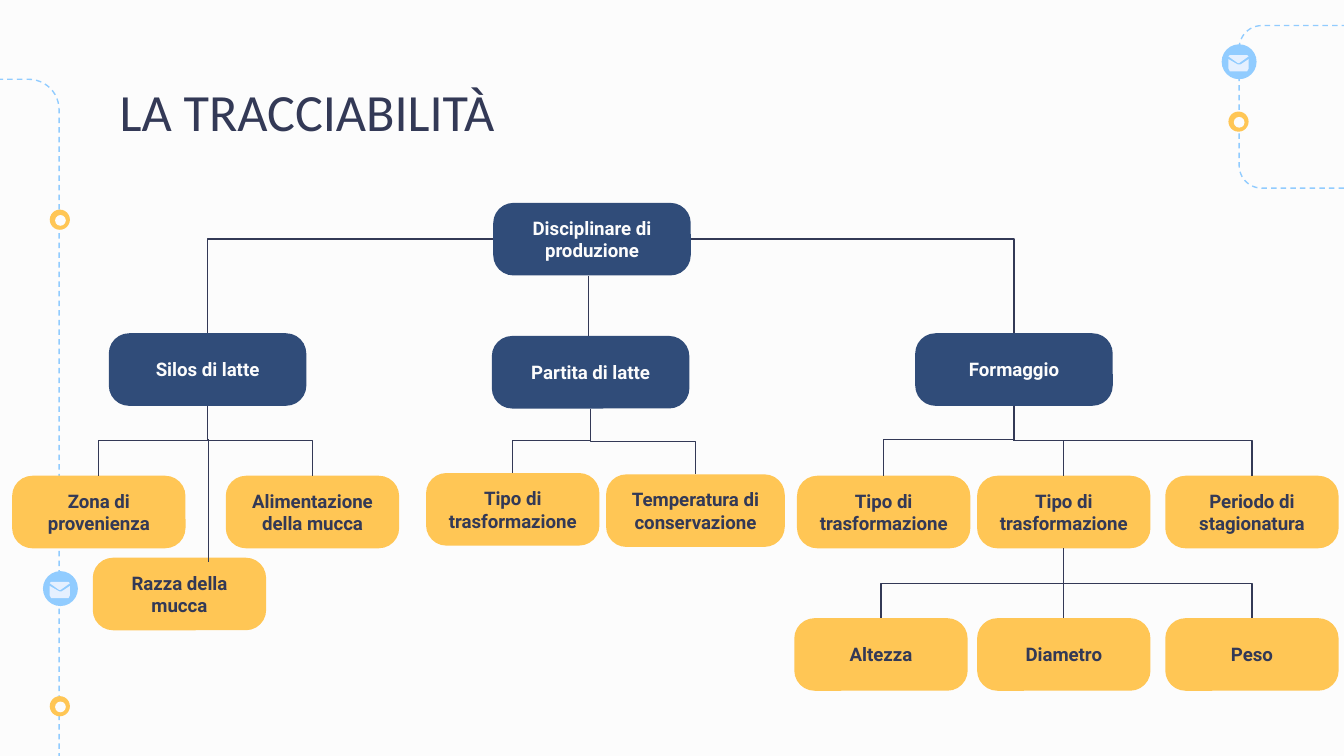
from pptx import Presentation
from pptx.dml.color import RGBColor
from pptx.enum.dml import MSO_LINE
from pptx.enum.shapes import MSO_CONNECTOR, MSO_SHAPE
from pptx.enum.text import MSO_ANCHOR, MSO_AUTO_SIZE, PP_ALIGN
from pptx.oxml.ns import qn
from pptx.util import Inches, Pt
from lxml import etree

ROUNDED = MSO_SHAPE.ROUNDED_RECTANGLE
OVAL = MSO_SHAPE.OVAL
STRAIGHT = MSO_CONNECTOR.STRAIGHT
ELBOW = MSO_CONNECTOR.ELBOW
DASH = MSO_LINE.DASH
LEFT, CENTER = PP_ALIGN.LEFT, PP_ALIGN.CENTER
TOP, MIDDLE = MSO_ANCHOR.TOP, MSO_ANCHOR.MIDDLE

PAPER = RGBColor(0xFC, 0xFC, 0xFC)
INK = RGBColor(0x33, 0x39, 0x56)
NAVY = RGBColor(0x30, 0x4C, 0x79)
AMBER = RGBColor(0xFF, 0xC6, 0x55)
SKY = RGBColor(0x91, 0xCC, 0xFF)
ICE = RGBColor(0xE5, 0xF0, 0xFF)

CARD_HEIGHT = 0.54
BRANCH_WIDTH, LEAF_WIDTH = 1.47, 1.29
LEAF_TOP, DETAIL_TOP = 3.54, 4.6
FLAP = [(0, 0.01), (0.01, 0), (0.14, 0), (0.15, 0.01), (0.08, 0.06), (0.07, 0.06)]
LETTER = [(0, 0.03), (0.07, 0.07), (0.09, 0.07), (0.15, 0.03),
          (0.15, 0.1), (0.14, 0.12), (0.01, 0.12), (0, 0.1)]


def write(box, text, size=10, font="Roboto", color=INK, bold=True, align=CENTER, anchor=MIDDLE):
    frame = box.text_frame
    frame.word_wrap = True
    frame.auto_size = MSO_AUTO_SIZE.NONE
    frame.vertical_anchor = anchor
    frame.margin_left = frame.margin_right = Inches(0.1)
    frame.margin_top = frame.margin_bottom = Inches(0.1)
    para = frame.paragraphs[0]
    para.alignment = align
    span = para.add_run()
    span.text = text
    span.font.size = Pt(size)
    span.font.name = font
    span.font.bold = bold
    span.font.color.rgb = color


def middle(box):
    return box.left + box.width // 2


def bottom(box):
    return box.top + box.height


class Board:
    def __init__(self, page):
        self.page = page
        self.shapes = page.shapes
        page.background.fill.solid()
        page.background.fill.fore_color.rgb = PAPER

    def title(self, text, left, top, width, height):
        box = self.shapes.title
        box.left, box.top = Inches(left), Inches(top)
        box.width, box.height = Inches(width), Inches(height)
        write(box, text, size=28, font="Calibri", bold=False, align=LEFT, anchor=TOP)

    def paint(self, shape, color):
        shape.shadow.inherit = False
        shape.fill.solid()
        shape.fill.fore_color.rgb = color
        shape.line.fill.background()
        return shape

    def dashed_frame(self, left, top, width, height, corner):
        shape = self.shapes.add_shape(ROUNDED, Inches(left), Inches(top), Inches(width), Inches(height))
        shape.shadow.inherit = False
        shape.adjustments[0] = corner
        shape.fill.background()
        shape.line.color.rgb = SKY
        shape.line.width = Pt(0.75)
        shape.line.dash_style = DASH

    def disc(self, left, top, size, color):
        self.paint(self.shapes.add_shape(OVAL, Inches(left), Inches(top), Inches(size), Inches(size)), color)

    def ring(self, left, top):
        self.disc(left, top, 0.15, AMBER)
        self.disc(left + 0.04, top + 0.04, 0.08, PAPER)

    def envelope(self, left, top):
        self.disc(left, top, 0.26, SKY)
        for outline in (FLAP, LETTER):
            points = [(Inches(left + 0.05 + x), Inches(top + 0.08 + y)) for x, y in outline]
            builder = self.shapes.build_freeform(*points[0])
            builder.add_line_segments(points[1:])
            self.paint(builder.convert_to_shape(), ICE)

    def card(self, text, left, top, width, fill, color):
        box = self.shapes.add_shape(ROUNDED, Inches(left), Inches(top), Inches(width), Inches(CARD_HEIGHT))
        box.adjustments[0] = 0.28
        write(self.paint(box, fill), text, color=color)
        return box

    def branch(self, text, left, top):
        return self.card(text, left, top, BRANCH_WIDTH, NAVY, PAPER)

    def leaf(self, text, left, top=LEAF_TOP, width=LEAF_WIDTH):
        return self.card(text, left, top, width, AMBER, INK)

    def connector(self, kind, *ends):
        link = self.shapes.add_connector(kind, *[int(end) for end in ends])
        link.line.color.rgb = INK
        link.line.width = Pt(0.75)
        etree.SubElement(link._element.spPr, qn("a:effectLst"))
        return link

    def corner(self, start_x, start_y, child):
        link = self.connector(ELBOW, start_x, start_y, middle(child), child.top)
        link._element.spPr.find(qn("a:prstGeom")).set("prst", "bentConnector2")

    def drop(self, parent, child):
        start_x, start_y, end_x, end_y = middle(parent), bottom(parent), middle(child), child.top
        across, down = end_x - start_x, end_y - start_y
        if abs(across) < Inches(0.02):
            self.connector(STRAIGHT, end_x, start_y, end_x, end_y)
            return
        center_x, center_y = (start_x + end_x) / 2, (start_y + end_y) / 2
        half_width = down / 2 if across < 0 else -down / 2
        half_height = abs(across) / 2
        link = self.connector(ELBOW, center_x - half_width, center_y - half_height,
                              center_x + half_width, center_y + half_height)
        turn = 90 if across < 0 else 270
        link._element.spPr.find(qn("a:xfrm")).set("rot", str(turn * 60000))


def main():
    deck = Presentation()
    deck.slide_width = Inches(10)
    deck.slide_height = deck.slide_width * 9 // 16
    board = Board(deck.slides.add_slide(deck.slide_layouts[5]))

    board.dashed_frame(-0.82, 0.59, 1.26, 5.3, 0.18)
    board.dashed_frame(9.22, 0.19, 1.53, 1.21, 0.14)
    for left, top in ((0.37, 5.18), (9.14, 0.83), (0.37, 1.56)):
        board.ring(left, top)
    for left, top in ((9.09, 0.33), (0.32, 4.25)):
        board.envelope(left, top)
    board.title("LA TRACCIABILITÀ", 0.79, 0.49, 8.43, 0.63)

    rules = board.branch("Disciplinare di produzione", 3.67, 1.51)
    silos = board.branch("Silos di latte", 0.81, 2.48)
    batch = board.branch("Partita di latte", 3.66, 2.5)
    cheese = board.branch("Formaggio", 6.81, 2.48)

    origin = board.leaf("Zona di provenienza", 0.09)
    feeding = board.leaf("Alimentazione della mucca", 1.68)
    board.leaf("Razza della mucca", 0.69, 4.15)
    batch_process = board.leaf("Tipo di trasformazione", 3.17, 3.52)
    storage = board.leaf("Temperatura di conservazione", 4.51, 3.53, 1.33)
    first_process = board.leaf("Tipo di trasformazione", 5.93)
    second_process = board.leaf("Tipo di trasformazione", 7.27)
    ageing = board.leaf("Periodo di stagionatura", 8.67)
    details = [board.leaf(text, left, DETAIL_TOP)
               for text, left in (("Altezza", 5.91), ("Diametro", 7.27), ("Peso", 8.67))]

    rules_middle = rules.top + rules.height // 2
    board.corner(rules.left, rules_middle, silos)
    board.corner(rules.left + rules.width, rules_middle, cheese)
    board.corner(middle(cheese), Inches(3.27), first_process)
    board.connector(STRAIGHT, Inches(4.38), bottom(rules), Inches(4.38), batch.top)
    families = ((silos, [origin, feeding]), (batch, [batch_process, storage]),
                (cheese, [second_process, ageing]), (second_process, details))
    for parent, children in families:
        for child in children:
            board.drop(parent, child)
    board.connector(STRAIGHT, Inches(1.55), Inches(3.27), Inches(1.55), Inches(4.18))

    deck.save("out.pptx")


if __name__ == "__main__":
    main()
